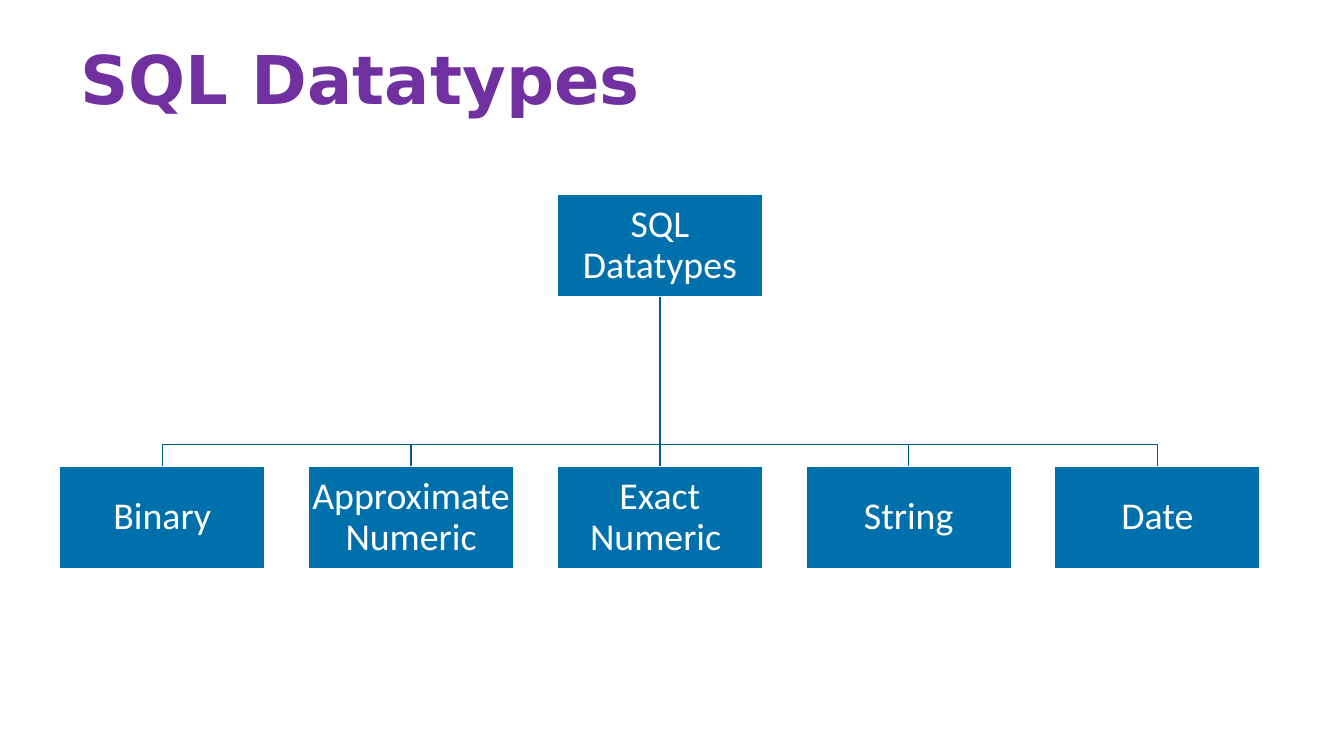
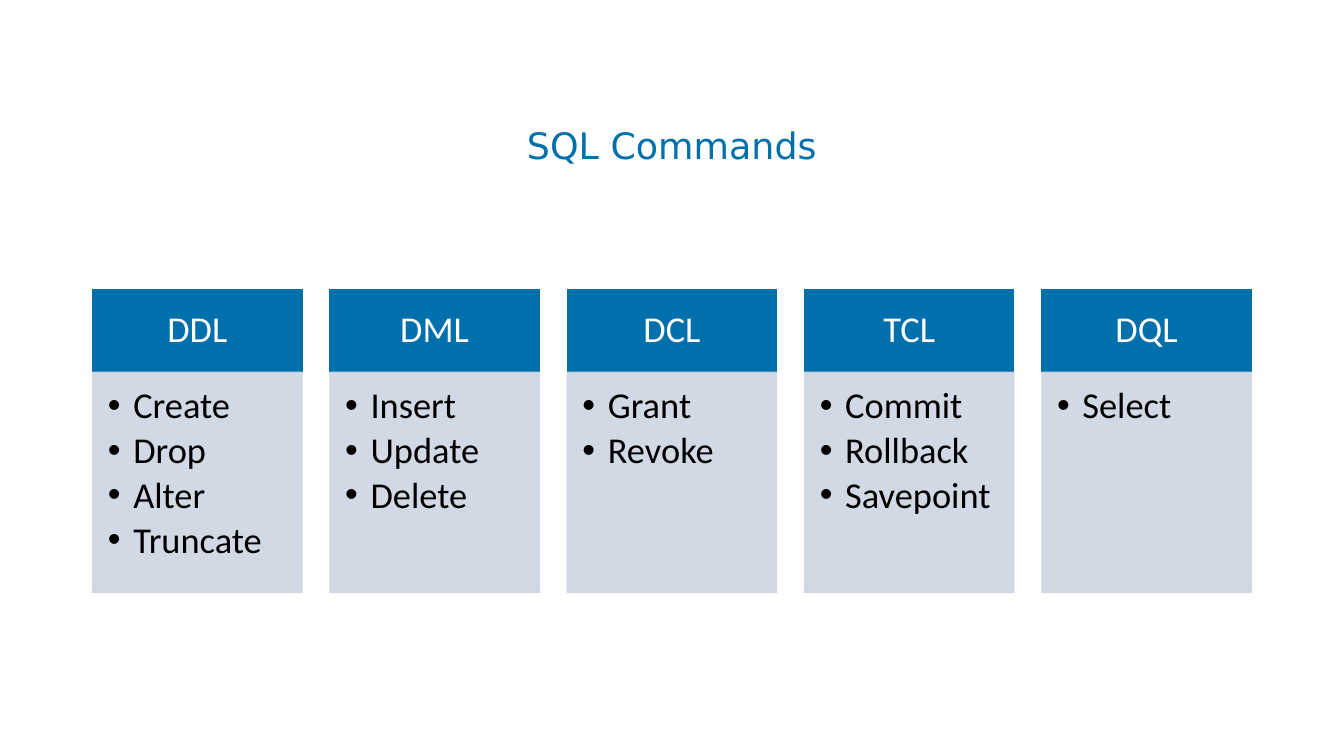
"""Builds two slides on SQL: a tree of datatypes and a row of command groups."""
from lxml import etree
from pptx import Presentation
from pptx import util as u
from pptx.dml import color
from pptx.enum import shapes, text
from pptx.oxml import ns

BLUE, DARK_BLUE, PALE_BLUE = "0070AD", "005A8B", "CCD5E3"
PURPLE, WHITE, BLACK = "7030A0", "FFFFFF", "000000"
TITLE_FONT, BODY_FONT = "DejaVu Sans", "Calibri"
LINE_SPACING = 0.9

ROOT = "SQL Datatypes"
DATATYPES = ["Binary", "Approximate Numeric", "Exact Numeric ", "String", "Date"]
COMMANDS = {
    "DDL": ["Create", "Drop", "Alter", "Truncate"],
    "DML": ["Insert", "Update", "Delete"],
    "DCL": ["Grant", "Revoke"],
    "TCL": ["Commit", "Rollback", "Savepoint"],
    "DQL": ["Select"],
}

NODE_LEFT, NODE_PITCH, NODE_WIDTH, NODE_HEIGHT = 1.5, 6.27, 5.18, 2.58
ROOT_TOP, BUS_Y, LEAF_TOP = 4.9, 11.2, 11.75
GROUP_LEFT, GROUP_PITCH, GROUP_WIDTH = 2.34, 5.98, 5.27
HEAD_TOP, HEAD_HEIGHT, LIST_HEIGHT = 7.29, 2.09, 5.55
BULLET_INDENT = u.Cm(0.64)


def rgb(value):
    return color.RGBColor.from_string(value)


def add_xml(parent, tag, **attributes):
    return etree.SubElement(parent, ns.qn(tag), attributes)


def style_paragraph(paragraph, size, font, ink, align, bold=False):
    paragraph.alignment = align
    paragraph.line_spacing = LINE_SPACING
    for run in paragraph.runs:
        run.font.size, run.font.name, run.font.bold = u.Pt(size), font, bold
        run.font.color.rgb = rgb(ink)


def style_line(shape, ink):
    shape.line.color.rgb = rgb(ink)
    shape.line.width = u.Pt(1)


def set_margins(frame, left, top, right, bottom):
    frame.margin_left, frame.margin_top = u.Cm(left), u.Cm(top)
    frame.margin_right, frame.margin_bottom = u.Cm(right), u.Cm(bottom)


def add_titled_slide(deck, title_text, place, size, ink, align, bold=False):
    slide = deck.slides.add_slide(deck.slide_layouts[5])
    title = slide.shapes.title
    title.left, title.top, title.width, title.height = map(u.Cm, place)
    frame = title.text_frame
    frame.text = title_text
    frame.auto_size = text.MSO_AUTO_SIZE.NONE
    frame.vertical_anchor = text.MSO_ANCHOR.TOP
    set_margins(frame, 0, 0, 0, 0)
    style_paragraph(frame.paragraphs[0], size, TITLE_FONT, ink, align, bold)
    return slide


def add_box(slide, place, fill, outline, margins, anchor):
    box = slide.shapes.add_shape(shapes.MSO_SHAPE.RECTANGLE, *map(u.Cm, place))
    box.shadow.inherit = False
    box.fill.solid()
    box.fill.fore_color.rgb = rgb(fill)
    style_line(box, outline)
    box.text_frame.word_wrap = True
    box.text_frame.vertical_anchor = anchor
    set_margins(box.text_frame, *margins)
    return box


def add_label(slide, label, place, outline, margins, size):
    box = add_box(slide, place, BLUE, outline, margins, text.MSO_ANCHOR.MIDDLE)
    box.text_frame.text = label
    style_paragraph(box.text_frame.paragraphs[0], size, BODY_FONT, WHITE, text.PP_ALIGN.CENTER)
    return box


def add_node(slide, label, column, top):
    place = (NODE_LEFT + column * NODE_PITCH, top, NODE_WIDTH, NODE_HEIGHT)
    return add_label(slide, label, place, WHITE, (0.05,) * 4, 27)


def add_trunk(slide, root, leaf):
    trunk = slide.shapes.add_connector(shapes.MSO_CONNECTOR.STRAIGHT, 0, 0, 0, 0)
    trunk.begin_connect(root, 2)
    trunk.end_connect(leaf, 0)
    style_line(trunk, DARK_BLUE)
    add_xml(trunk._element.spPr, "a:effectLst")


def add_branch(slide, root, leaf):
    root_x, leaf_x = (node.left + node.width // 2 for node in (root, leaf))
    outline = slide.shapes.build_freeform(root_x, root.top + root.height)
    outline.add_line_segments(
        [(root_x, u.Cm(BUS_Y)), (leaf_x, u.Cm(BUS_Y)), (leaf_x, leaf.top)], close=False)
    branch = outline.convert_to_shape()
    branch.shadow.inherit = False
    branch.fill.background()
    style_line(branch, DARK_BLUE)


def add_command_list(slide, commands, place):
    box = add_box(slide, place, PALE_BLUE, PALE_BLUE, (0.38, 0.38, 0.5, 0.58), text.MSO_ANCHOR.TOP)
    for tint in box._element.spPr.iter(ns.qn("a:srgbClr")):
        add_xml(tint, "a:alpha", val="90000")
    frame = box.text_frame
    frame.text = "\n".join(commands)
    for paragraph in frame.paragraphs:
        paragraph.level = 1
        properties = paragraph._p.get_or_add_pPr()
        properties.set("marL", str(BULLET_INDENT))
        properties.set("indent", str(-BULLET_INDENT))
        add_xml(properties, "a:buFont", typeface="Arial")
        add_xml(properties, "a:buChar", char="•")
        style_paragraph(paragraph, 26, BODY_FONT, BLACK, text.PP_ALIGN.LEFT)
        paragraph.space_after = u.Pt(3.9)


def build_datatypes(deck):
    slide = add_titled_slide(deck, "SQL Datatypes", (2.02, 1.17, 30.61, 2.39), 48, PURPLE,
                             text.PP_ALIGN.LEFT, bold=True)
    middle = len(DATATYPES) // 2
    root = add_node(slide, ROOT, middle, ROOT_TOP)
    for column, name in enumerate(DATATYPES):
        leaf = add_node(slide, name, column, LEAF_TOP)
        join = add_trunk if column == middle else add_branch
        join(slide, root, leaf)


def build_commands(deck):
    slide = add_titled_slide(deck, "SQL Commands", (2.33, 3.23, 29.21, 3.68), 26, BLUE,
                             text.PP_ALIGN.CENTER)
    for column, (group, commands) in enumerate(COMMANDS.items()):
        left = GROUP_LEFT + column * GROUP_PITCH
        add_label(slide, group, (left, HEAD_TOP, GROUP_WIDTH, HEAD_HEIGHT), BLUE,
                  (0.5, 0.3, 0.5, 0.3), 26)
        add_command_list(slide, commands,
                         (left, HEAD_TOP + HEAD_HEIGHT, GROUP_WIDTH, LIST_HEIGHT))


def main():
    deck = Presentation()
    deck.slide_width, deck.slide_height = u.Cm(33.87), u.Cm(19.05)
    build_datatypes(deck)
    build_commands(deck)
    deck.save("out.pptx")


if __name__ == "__main__":
    main()
